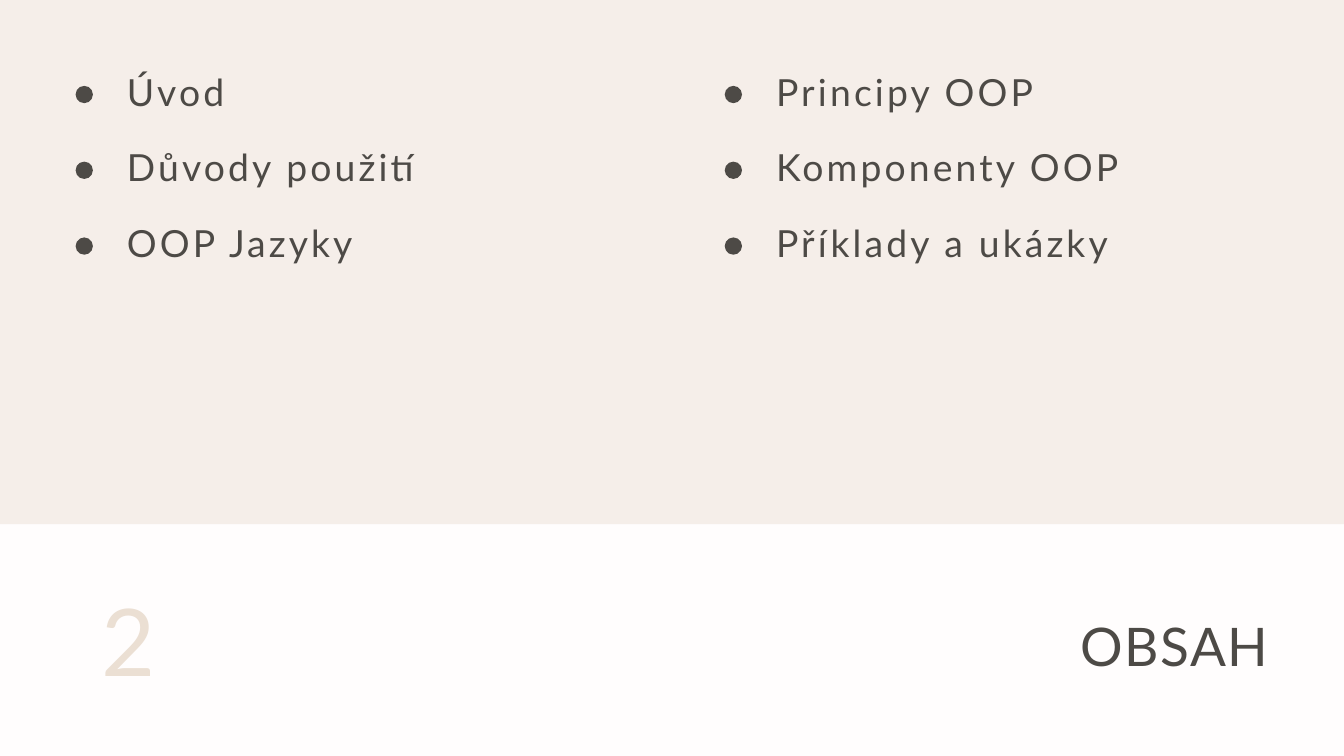
from lxml.etree import SubElement
from pptx import Presentation
from pptx.dml.color import RGBColor
from pptx.enum.shapes import MSO_SHAPE
from pptx.enum.text import MSO_ANCHOR, MSO_AUTO_SIZE, PP_ALIGN
from pptx.oxml.ns import qn
from pptx.util import Pt

PAPER = RGBColor(0xFF, 0xFD, 0xFD)
SAND = RGBColor(0xE4, 0xD4, 0xC5)
PALE_SAND = RGBColor(0xEB, 0xDF, 0xD3)
INK = RGBColor(0x4D, 0x4A, 0x46)
FONT = "Lato"

LIST_TOP, LIST_WIDTH, LIST_HEIGHT = 81, 528, 204
LINE_HEIGHT, ROW_PITCH = 40.8, 81.2
DOT_SIZE, DOT_OFFSET_X, DOT_OFFSET_Y = 18.5, -55, 11
COLUMNS = [
    (136, ["Úvod", "Důvody použití", "OOP Jazyky"]),
    (831.5, ["Principy OOP", "Komponenty OOP", "Příklady a ukázky"]),
]


def place(shape, left, top, width, height):
    shape.left, shape.top = Pt(left), Pt(top)
    shape.width, shape.height = Pt(width), Pt(height)


def prepare_frame(text_frame):
    """Remove the insets and anchor wrapped text at the top."""
    text_frame.margin_left = text_frame.margin_right = 0
    text_frame.margin_top = text_frame.margin_bottom = 0
    text_frame.word_wrap = True
    text_frame.auto_size = MSO_AUTO_SIZE.NONE
    text_frame.vertical_anchor = MSO_ANCHOR.TOP


def format_runs(paragraph, size, color, spacing=0):
    """Style every run; spacing is the tracking in points."""
    for run in paragraph.runs:
        run.font.name = FONT
        run.font.size = Pt(size)
        run.font.color.rgb = color
        run._r.get_or_add_rPr().set("spc", str(round(spacing * 100)))


def remove_bullet(paragraph):
    properties = paragraph._p.get_or_add_pPr()
    properties.set("marL", "0")
    properties.set("indent", "0")
    SubElement(properties, qn("a:buNone"))


def add_filled_shape(slide, preset, color, left, top, width, height):
    shape = slide.shapes.add_shape(
        preset, Pt(left), Pt(top), Pt(width), Pt(height))
    shape.shadow.inherit = False
    shape.line.fill.background()
    shape.fill.solid()
    shape.fill.fore_color.rgb = color
    return shape


def fill_title(title, text):
    place(title, 329, 651.6, 1030.4, 73)
    title.text_frame.text = text
    prepare_frame(title.text_frame)
    paragraph = title.text_frame.paragraphs[0]
    paragraph.alignment = PP_ALIGN.RIGHT
    paragraph.line_spacing = Pt(74.1)
    format_runs(paragraph, 57, INK, 1.7)


def fill_list(slide, placeholder, left, items):
    """Fill one column and set a round dot beside each item."""
    place(placeholder, left, LIST_TOP, LIST_WIDTH, LIST_HEIGHT)
    placeholder.text_frame.text = "\n".join(items)
    prepare_frame(placeholder.text_frame)
    for row, paragraph in enumerate(placeholder.text_frame.paragraphs):
        paragraph.line_spacing = Pt(LINE_HEIGHT)
        paragraph.space_before = Pt(0)
        paragraph.space_after = Pt(ROW_PITCH - LINE_HEIGHT)
        remove_bullet(paragraph)
        format_runs(paragraph, 40, INK, 3.4)
        add_filled_shape(
            slide, MSO_SHAPE.OVAL, INK, left + DOT_OFFSET_X,
            LIST_TOP + DOT_OFFSET_Y + row * ROW_PITCH, DOT_SIZE, DOT_SIZE)


def add_band(slide):
    """Add the translucent upper band behind all text."""
    band = add_filled_shape(
        slide, MSO_SHAPE.RECTANGLE, SAND, -26.6, -34.6, 1493.3, 596.2)
    color = band._element.spPr.find(qn("a:solidFill")).find(qn("a:srgbClr"))
    SubElement(color, qn("a:alpha"), val="35000")
    slide.shapes._spTree.insert(2, band._element)


def add_page_number(slide, number):
    box = slide.shapes.add_textbox(Pt(109), Pt(624.5), Pt(160), Pt(120))
    box.text_frame.text = str(number)
    prepare_frame(box.text_frame)
    format_runs(box.text_frame.paragraphs[0], 100, PALE_SAND)


def main():
    presentation = Presentation()
    presentation.slide_width, presentation.slide_height = Pt(1440), Pt(810)
    two_content_layout = presentation.slide_layouts[3]
    slide = presentation.slides.add_slide(two_content_layout)
    slide.background.fill.solid()
    slide.background.fill.fore_color.rgb = PAPER

    add_band(slide)
    fill_title(slide.shapes.title, "OBSAH")
    for index, (left, items) in enumerate(COLUMNS, start=1):
        fill_list(slide, slide.placeholders[index], left, items)
    add_page_number(slide, 2)
    presentation.save("out.pptx")


if __name__ == "__main__":
    main()
